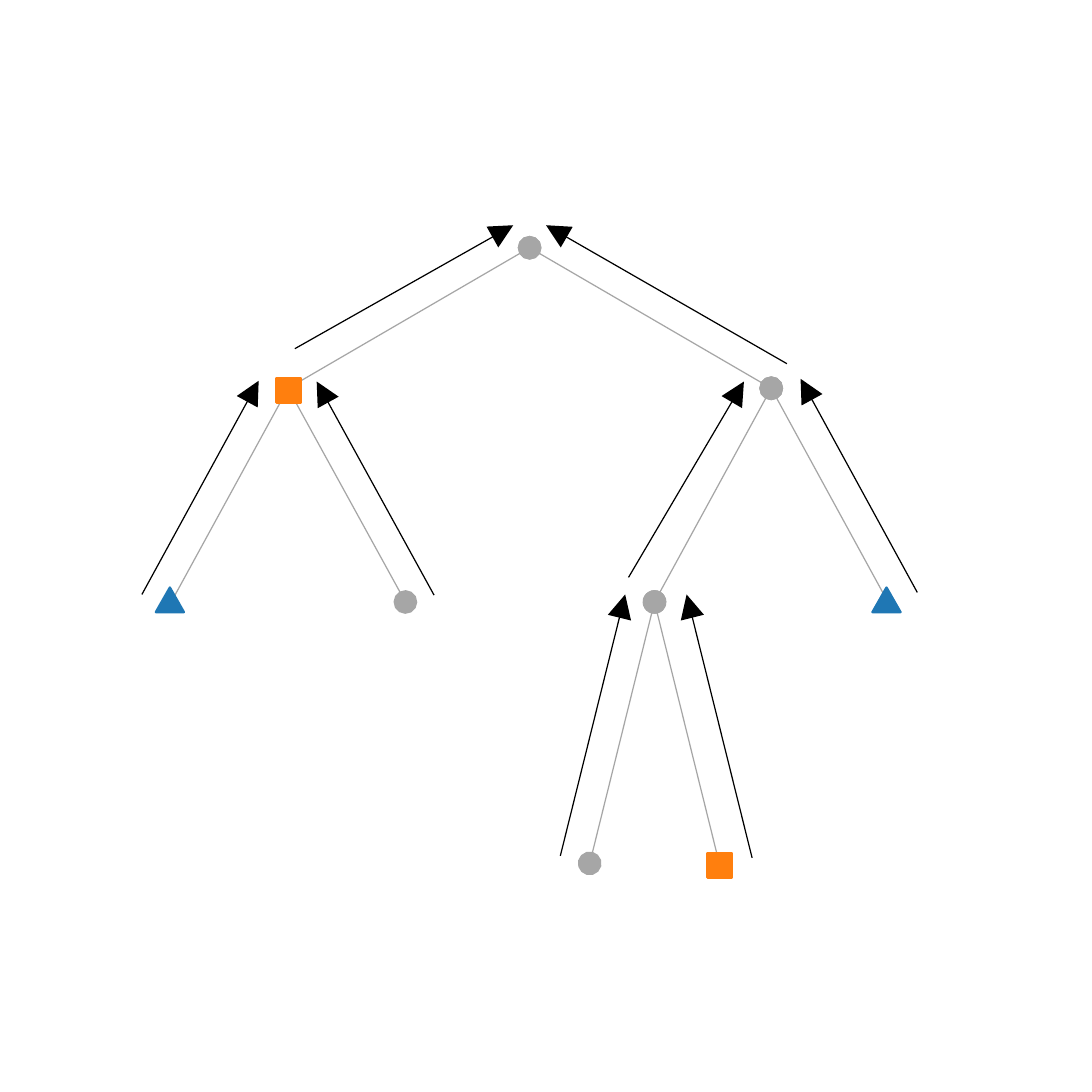
from lxml import etree
from pptx import Presentation
from pptx.dml.color import RGBColor
from pptx.enum import shapes
from pptx.oxml import ns
from pptx.util import Cm, Pt

COLORS = {"edge": "A6A6A6", "arrow": "000000", "triangle": "1F77B4", "square": "FF7F0E"}

# Marker shape, width, height and centre shift from the node, in cm
MARKERS = {
    "triangle": (shapes.MSO_SHAPE.ISOSCELES_TRIANGLE, 0.41, 0.36, -0.02, -0.03),
    "square": (shapes.MSO_SHAPE.RECTANGLE, 0.36, 0.36, 0.01, 0.03),
}

# Tree nodes: kind and position inside the tree box, in cm
NODES = {
    "root": ("circle", 5.76, 0.63),
    "left": ("square", 2.22, 2.69),
    "right": ("circle", 9.3, 2.69),
    "left_a": ("triangle", 0.51, 5.82),
    "left_b": ("circle", 3.94, 5.82),
    "right_a": ("circle", 7.59, 5.82),
    "right_b": ("triangle", 11.01, 5.82),
    "leaf_a": ("circle", 6.64, 9.65),
    "leaf_b": ("square", 8.54, 9.65),
}

# Child, parent, then the arrow's offset from each of them, in cm
LEFT, RIGHT = (-0.43, -0.11), (0.42, -0.1)
EDGES = [
    ("right", "root", (0.23, -0.36), (0.24, -0.33)),
    ("left", "root", (0.1, -0.58), (-0.24, -0.33)),
    ("right_a", "right", (-0.38, -0.36), (-0.4, -0.1)),
    ("leaf_a", "right_a", LEFT, LEFT),
    ("right_b", "right", (0.43, -0.14), (0.43, -0.14)),
    ("leaf_b", "right_a", (0.48, -0.08), (0.47, -0.11)),
    ("left_a", "left", LEFT, LEFT),
    ("left_b", "left", RIGHT, RIGHT),
]


def add_line(s, start, end, color, head=None, tail=None):
    line = s.shapes.add_connector(
        shapes.MSO_CONNECTOR.STRAIGHT, *(Cm(v) for v in (*start, *end)))
    line.line.color.rgb = RGBColor.from_string(COLORS[color])
    line.line.width = Pt(0.5)
    ln = line.line._get_or_add_ln()
    for tag, kind in (("a:headEnd", head), ("a:tailEnd", tail)):
        if kind:
            etree.SubElement(ln, ns.qn(tag), type=kind, w="lg", len="lg")
    etree.SubElement(line._element.spPr, ns.qn("a:effectLst"))


def add_marker(s, kind, x, y):
    preset, w, h, dx, dy = MARKERS[kind]
    sp = s.shapes.add_shape(
        preset, Cm(x + dx - w / 2), Cm(y + dy - h / 2), Cm(w), Cm(h))
    color = RGBColor.from_string(COLORS[kind])
    sp.shadow.inherit = False
    sp.fill.solid()
    sp.fill.fore_color.rgb = color
    sp.line.color.rgb = color
    sp.line.width = Pt(1)


def add_tree(s, left, top):
    def place(name, offset=(0, 0)):
        _, x, y = NODES[name]
        return left + x + offset[0], top + y + offset[1]

    def end_dot(name):
        return "oval" if NODES[name][0] == "circle" else None

    # Branches, whose oval ends are the round nodes
    for child, parent, _, _ in EDGES:
        add_line(s, place(child), place(parent), "edge", end_dot(child), end_dot(parent))

    # Arrows from each child up to its parent
    for child, parent, start, end in EDGES:
        add_line(s, place(child, start), place(parent, end), "arrow", tail="triangle")

    # Triangle and square nodes
    for name, (kind, _, _) in NODES.items():
        if kind in MARKERS:
            add_marker(s, kind, *place(name))


def main():
    prs = Presentation()
    prs.slide_width = prs.slide_height = Cm(16)
    s = prs.slides.add_slide(prs.slide_layouts[6])
    add_tree(s, 2, 3)
    prs.save("out.pptx")


if __name__ == "__main__":
    main()
